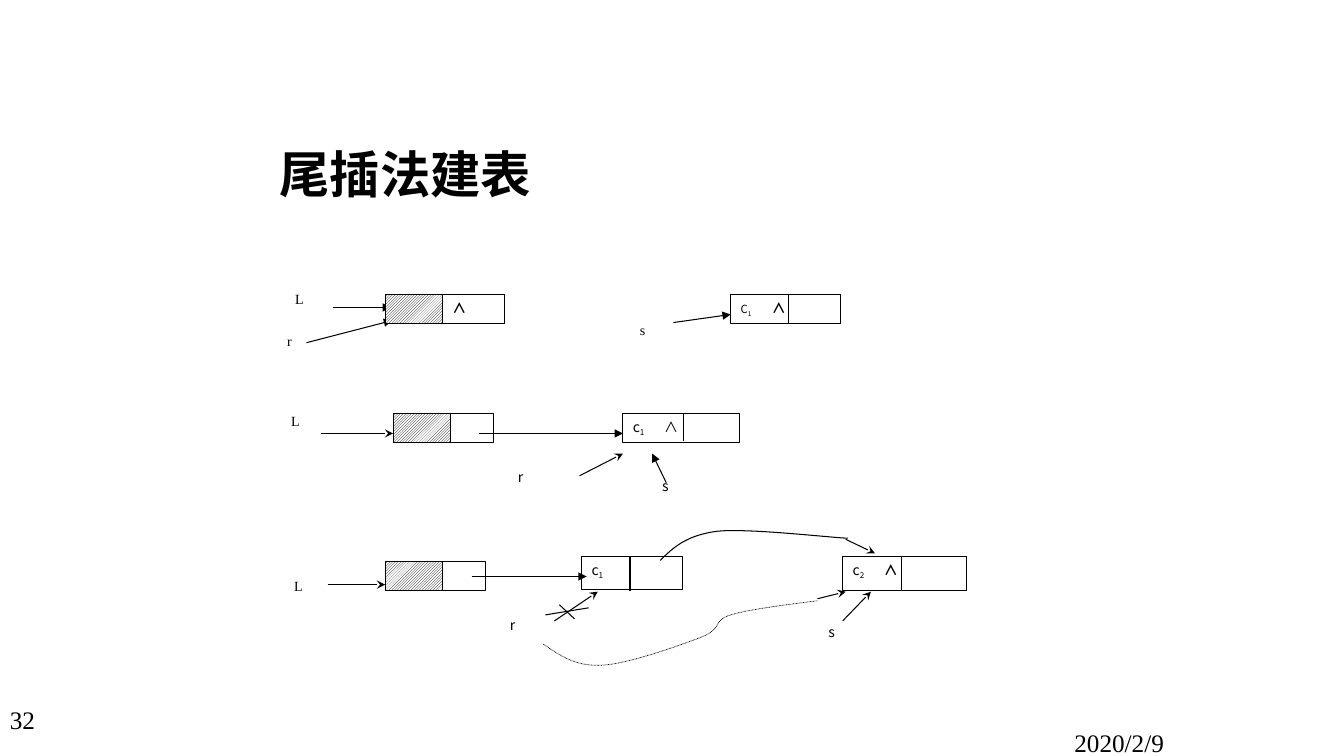
from dataclasses import dataclass
from typing import Sequence

from lxml import etree
from pptx import Presentation
from pptx import util as u
from pptx.dml.color import RGBColor
from pptx.enum import dml, shapes, text
from pptx.oxml import ns

BLACK = RGBColor(0, 0, 0)
WHITE = RGBColor(255, 255, 255)
SANS = "Noto Sans CJK SC"
SERIF = "Times New Roman"
COLS, ROWS = 133.33, 75
CELL_H = 2.9
HATCH_W = 5.7
MARK_TAB = 3.1
CURVE_STEPS = 16

prs = Presentation()
prs.slide_width, prs.slide_height = u.Inches(13.33), u.Inches(7.5)


@dataclass
class Label:
    x: float
    y: float
    text: str
    font: str = SANS
    size: float = 10
    w: float = 6
    h: float = 3.2


@dataclass
class Cell:
    x: float
    y: float
    w: float
    h: float = CELL_H
    name: str = ""
    index: str = ""
    size: float = 10
    mark: str = ""
    bold: bool = True
    hatched: bool = False


@dataclass
class Line:
    x1: float
    y1: float
    x2: float
    y2: float
    head: str = ""


@dataclass
class Curve:
    start: tuple[float, float]
    beziers: Sequence[tuple[float, ...]]
    width: float = 0.75
    dotted: bool = False


def col(n: float) -> int:
    return round(prs.slide_width * n / COLS)


def row(n: float) -> int:
    return round(prs.slide_height * n / ROWS)


def place(x: float, y: float, w: float, h: float) -> tuple[int, int, int, int]:
    return col(x), row(y), col(w), row(h)


def write(p, content: str, size: float = 10, font: str = SANS,
          bold: bool = False, sub: bool = False) -> None:
    r = p.add_run()
    r.text = content
    r.font.size, r.font.name, r.font.bold = u.Pt(size), font, bold
    r.font.color.rgb = BLACK
    rpr = r.font._element
    etree.SubElement(rpr, ns.qn("a:ea")).set("typeface", font)
    if sub:
        rpr.set("baseline", "-25000")


def draw_label(s, item: Label) -> None:
    tf = s.shapes.add_textbox(*place(item.x, item.y, item.w, item.h)).text_frame
    tf.word_wrap = True
    write(tf.paragraphs[0], item.text, size=item.size, font=item.font)


def draw_cell(s, item: Cell) -> None:
    sp = s.shapes.add_shape(shapes.MSO_SHAPE.RECTANGLE,
                            *place(item.x, item.y, item.w, item.h))
    sp.shadow.inherit = False
    sp.line.color.rgb, sp.line.width = BLACK, u.Pt(0.75)
    if item.hatched:
        sp.fill.patterned()
        sp.fill.pattern = dml.MSO_PATTERN.LIGHT_UPWARD_DIAGONAL
        sp.fill.fore_color.rgb, sp.fill.back_color.rgb = BLACK, WHITE
    else:
        sp.fill.solid()
        sp.fill.fore_color.rgb = WHITE
    tf = sp.text_frame
    tf.word_wrap = True
    tf.vertical_anchor = text.MSO_ANCHOR.TOP
    p = tf.paragraphs[0]
    p.alignment = text.PP_ALIGN.LEFT
    if item.name:
        tabs = etree.SubElement(p._p.get_or_add_pPr(), ns.qn("a:tabLst"))
        etree.SubElement(tabs, ns.qn("a:tab"), pos=str(col(MARK_TAB)), algn="l")
        write(p, item.name, size=item.size)
        write(p, item.index, size=item.size, sub=True)
    if item.mark:
        write(p, "\t" + item.mark if item.name else item.mark, bold=item.bold)


def draw_line(s, item: Line) -> None:
    c = s.shapes.add_connector(shapes.MSO_CONNECTOR.STRAIGHT, col(item.x1),
                               row(item.y1), col(item.x2), row(item.y2))
    c.line.color.rgb, c.line.width = BLACK, u.Pt(0.75)
    if item.head:
        etree.SubElement(c.line._get_or_add_ln(), ns.qn("a:tailEnd"), type=item.head)
    etree.SubElement(c._element.spPr, ns.qn("a:effectLst"))


def draw_curve(s, item: Curve) -> None:
    x0, y0 = item.start
    points = []
    fb = s.shapes.build_freeform(col(x0), row(y0))
    for x1, y1, x2, y2, x3, y3 in item.beziers:
        for i in range(1, CURVE_STEPS + 1):
            t = i / CURVE_STEPS
            k = ((1 - t) ** 3, 3 * t * (1 - t) ** 2, 3 * t * t * (1 - t), t ** 3)
            points.append((col(sum(a * b for a, b in zip(k, (x0, x1, x2, x3)))),
                           row(sum(a * b for a, b in zip(k, (y0, y1, y2, y3))))))
        x0, y0 = x3, y3
    fb.add_line_segments(points, close=False)
    sp = fb.convert_to_shape()
    sp.shadow.inherit = False
    sp.fill.background()
    sp.line.color.rgb, sp.line.width = BLACK, u.Pt(item.width)
    if item.dotted:
        sp.line.dash_style = dml.MSO_LINE.ROUND_DOT


def draw_title(s, content: str) -> None:
    sp = s.shapes.title
    sp.left, sp.top, sp.width, sp.height = place(26.7, 8.3, 87.5, 12.5)
    tf = sp.text_frame
    tf.vertical_anchor = text.MSO_ANCHOR.BOTTOM
    p = tf.paragraphs[0]
    p.alignment = text.PP_ALIGN.LEFT
    p.line_spacing = 0.9
    write(p, content, size=36, bold=True)


FOOTER = [
    Label(105.6, 71.7, "2020/2/9", SERIF, 18, 27.7, 3.3),
    Label(0, 69.4, "32", SERIF, 18, 8.6, 5.3),
]
EMPTY_LIST = [
    Label(28.3, 28.3, "L", SERIF),
    Label(27.5, 32.5, "r", SERIF),
    Label(62.5, 31.4, "s", SERIF),
    Line(33, 30.5, 38.8, 30.5, "triangle"),
    Line(30.4, 34, 38.9, 31.8, "triangle"),
    Cell(38.2, 29.2, HATCH_W, hatched=True),
    Cell(43.9, 29.2, 6.2, mark="∧"),
    Cell(72.5, 29.2, 10.9, name="C", index="1", size=8, mark="∧"),
    Line(78.2, 29.2, 78.2, 32.1),
    Line(66.8, 32, 72.5, 31.2, "triangle"),
]
FIRST_INSERT = [
    Label(27.9, 40.4, "L", SERIF),
    Label(50.4, 46, "r"),
    Label(64.7, 46.9, "s"),
    Line(31.8, 43, 39, 43, "stealth"),
    Cell(39, 41, HATCH_W, hatched=True),
    Cell(44.7, 41, 4.3),
    Cell(61.8, 41, 11.6, name="c", index="1", mark="∧", bold=False),
    Line(67.8, 41, 67.8, 43.8),
    Line(47.5, 43, 61.8, 43, "triangle"),
    Line(57.5, 47.2, 61.8, 45, "stealth"),
    Line(66.1, 47.9, 64.7, 45, "triangle"),
]
SECOND_INSERT = [
    Label(28.2, 56.8, "L", SERIF),
    Label(49.6, 60.7, "r"),
    Label(81.2, 61.4, "s"),
    Line(32.5, 58, 38.2, 58, "stealth"),
    Cell(38.2, 55.7, HATCH_W, hatched=True),
    Cell(43.9, 55.7, 4.3),
    Cell(57.7, 55.2, 10, 3.3, name="c", index="1"),
    Line(62.5, 55.3, 62.5, 58.6),
    Cell(83.6, 55.2, 12.3, 3.4, name="c", index="2", mark="∧"),
    Line(89.4, 55.2, 89.4, 58.6),
    Line(46.8, 57.2, 58.2, 57.2, "triangle"),
    Line(55, 61.6, 59.3, 58.7, "stealth"),
    Line(55.5, 60, 57, 61.4),
    Line(54.1, 61, 58.4, 60.3),
    Curve((65.5, 55.6), [(66.8, 54.3, 68.1, 53.1, 71.2, 52.7),
                         (74.3, 52.4, 82, 53.3, 84.1, 53.4)]),
    Line(83.9, 53.5, 86.8, 54.9, "stealth"),
    Curve((53.9, 63.9), [(55.5, 65, 57, 66.1, 59.6, 66),
                         (62.3, 65.9, 67.5, 64, 69.6, 63.2),
                         (71.8, 62.3, 70.6, 61.6, 72.5, 61),
                         (74.4, 60.4, 79.6, 59.8, 81.1, 59.6)], 0.5, True),
    Line(81.1, 59.4, 83.9, 58.7, "stealth"),
    Line(83.6, 61.6, 86.4, 58.7, "stealth"),
]
DRAW = {Label: draw_label, Cell: draw_cell, Line: draw_line, Curve: draw_curve}


def main() -> None:
    s = prs.slides.add_slide(prs.slide_layouts[5])
    draw_title(s, "尾插法建表")
    for item in FOOTER + EMPTY_LIST + FIRST_INSERT + SECOND_INSERT:
        DRAW[type(item)](s, item)
    prs.save("out.pptx")


if __name__ == "__main__":
    main()
